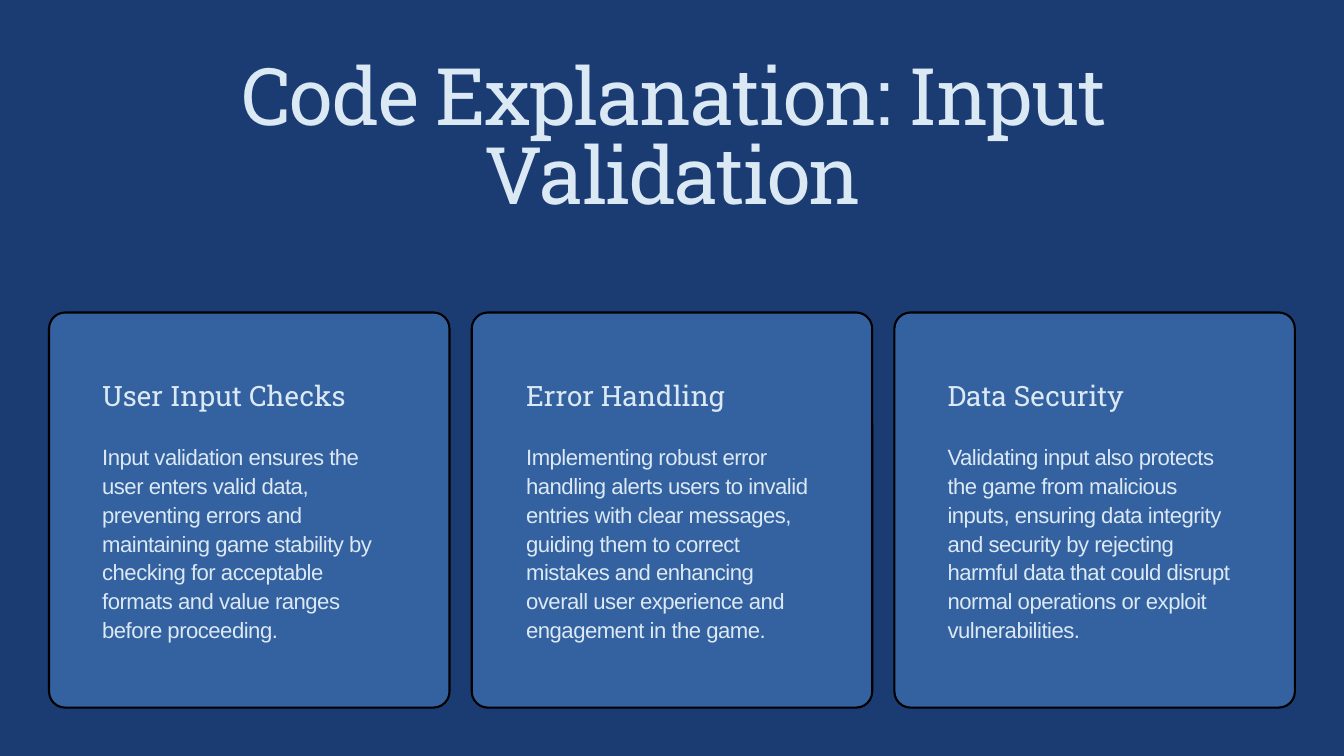
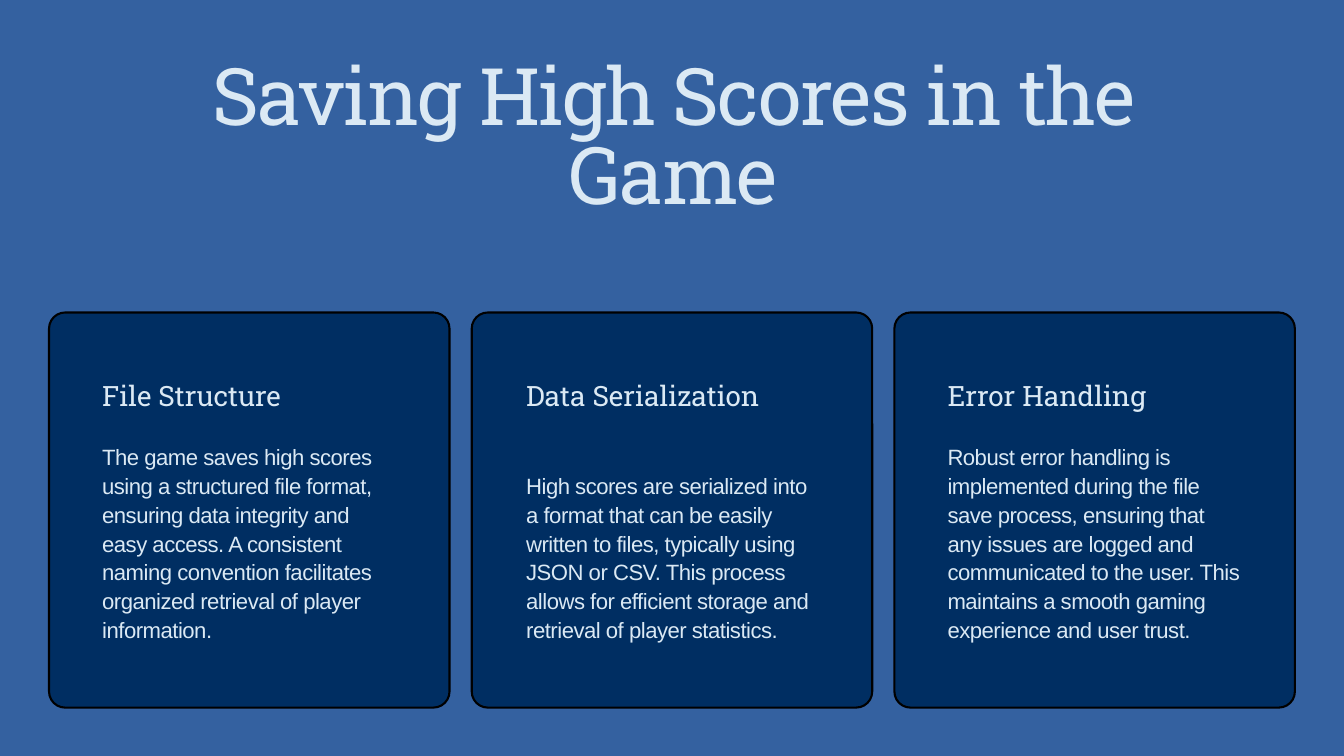
import pptx
import pptx.dml.color
import pptx.enum.shapes
import pptx.enum.text
import pptx.util

Inches = pptx.util.Inches
Pt = pptx.util.Pt
RGB = pptx.dml.color.RGBColor
ALIGN = pptx.enum.text.PP_ALIGN

# Colours
NAVY = RGB(0x1A, 0x3C, 0x72)
BLUE = RGB(0x34, 0x61, 0xA0)
DEEP = RGB(0x00, 0x2E, 0x62)
PALE = RGB(0xDB, 0xE9, 0xF4)
BLACK = RGB(0, 0, 0)

# Text styles: font values, line pitch, letter spacing (1/100 pt), alignment
SERIF = "Roboto Slab"
TITLE = {"font": {"name": SERIF, "size": Pt(85)}, "pitch": 85, "track": -170, "align": ALIGN.CENTER}
HEAD = {"font": {"name": SERIF, "size": Pt(30)}, "pitch": 39, "track": 0, "align": ALIGN.LEFT}
BODY = {"font": {"name": "Arial", "size": Pt(23.7)}, "pitch": 30.8, "track": -50, "align": ALIGN.LEFT}

# Card grid
LEFT, TOP, WIDE, HIGH, GAP = 0.73, 4.65, 5.96, 5.88, 0.33
RADIUS = 0.24
INSETS = [(0.79, 4.39), (0.81, 4.34), (0.79, 4.39)]  # text offset and width
HEAD_TOP, BODY_TOP, BODY_END = 5.59, 6.57, 9.56


class Deck:
    def __init__(self):
        self.prs = pptx.Presentation()
        self.prs.slide_width = Inches(20)
        self.prs.slide_height = Inches(11.25)
        self.slide = None

    def start(self, title, back):
        """Add a slide with a plain background and a title."""
        self.slide = self.prs.slides.add_slide(self.prs.slide_layouts[5])
        fill = self.slide.background.fill
        fill.solid()
        fill.fore_color.rgb = back
        shape = self.slide.shapes.title
        self.place(shape, 2.33, 0.92, 15.37, 2.4)
        self.style_text(shape, title, TITLE)

    def place(self, shape, *box):
        for key, val in zip(("left", "top", "width", "height"), box):
            setattr(shape, key, Inches(val))

    def style_text(self, shape, text, style):
        frame = shape.text_frame
        form = {
            "margin_left": 0, "margin_top": 0, "margin_right": 0, "margin_bottom": 0,
            "word_wrap": True,
            "vertical_anchor": pptx.enum.text.MSO_ANCHOR.TOP,
            "auto_size": pptx.enum.text.MSO_AUTO_SIZE.SHAPE_TO_FIT_TEXT,
        }
        for key, val in form.items():
            setattr(frame, key, val)
        para = frame.paragraphs[0]
        para.alignment = style["align"]
        para.line_spacing = Pt(style["pitch"])
        run = para.add_run()
        run.text = text
        for key, val in style["font"].items():
            setattr(run.font, key, val)
        run.font.color.rgb = PALE
        run._r.get_or_add_rPr().set("spc", str(style["track"]))

    def label(self, text, style, *box):
        shape = self.slide.shapes.add_textbox(*map(Inches, box))
        self.style_text(shape, text, style)

    def panel(self, left, fill):
        kind = pptx.enum.shapes.MSO_SHAPE.ROUNDED_RECTANGLE
        shape = self.slide.shapes.add_shape(kind, *map(Inches, (left, TOP, WIDE, HIGH)))
        shape.adjustments[0] = RADIUS / min(WIDE, HIGH)
        shape.shadow.inherit = False
        shape.fill.solid()
        shape.fill.fore_color.rgb = fill
        shape.line.color.rgb = BLACK
        shape.line.width = Pt(2.25)

    def cards(self, items, fill):
        """Lay out the panels in a row, each with a heading and a text."""
        for col, (head, body, top) in enumerate(items):
            left = LEFT + col * (WIDE + GAP)
            inset, wide = INSETS[col]
            self.panel(left, fill)
            self.label(head, HEAD, left + inset, HEAD_TOP, wide, 0.53)
            self.label(body, BODY, left + inset, top, wide, BODY_END - top)


CHECKS = [
    ("User Input Checks",
     "Input validation ensures the user enters valid data, preventing errors and "
     "maintaining game stability by checking for acceptable formats and value ranges "
     "before proceeding.", BODY_TOP),
    ("Error Handling",
     "Implementing robust error handling alerts users to invalid entries with clear "
     "messages, guiding them to correct mistakes and enhancing overall user experience "
     "and engagement in the game.", BODY_TOP),
    ("Data Security",
     "Validating input also protects the game from malicious inputs, ensuring data "
     "integrity and security by rejecting harmful data that could disrupt normal "
     "operations or exploit vulnerabilities.", BODY_TOP),
]

SCORES = [
    ("File Structure",
     "The game saves high scores using a structured file format, ensuring data "
     "integrity and easy access. A consistent naming convention facilitates organized "
     "retrieval of player information.", BODY_TOP),
    ("Data Serialization",
     "High scores are serialized into a format that can be easily written to files, "
     "typically using JSON or CSV. This process allows for efficient storage and "
     "retrieval of player statistics.", 7),
    ("Error Handling",
     "Robust error handling is implemented during the file save process, ensuring that "
     "any issues are logged and communicated to the user. This maintains a smooth "
     "gaming experience and user trust.", BODY_TOP),
]


def main():
    deck = Deck()

    # Input validation
    deck.start("Code Explanation: Input Validation", NAVY)
    deck.cards(CHECKS, BLUE)

    # High scores
    deck.start("Saving High Scores in the Game", BLUE)
    deck.cards(SCORES, DEEP)

    deck.prs.save("out.pptx")


if __name__ == "__main__":
    main()
